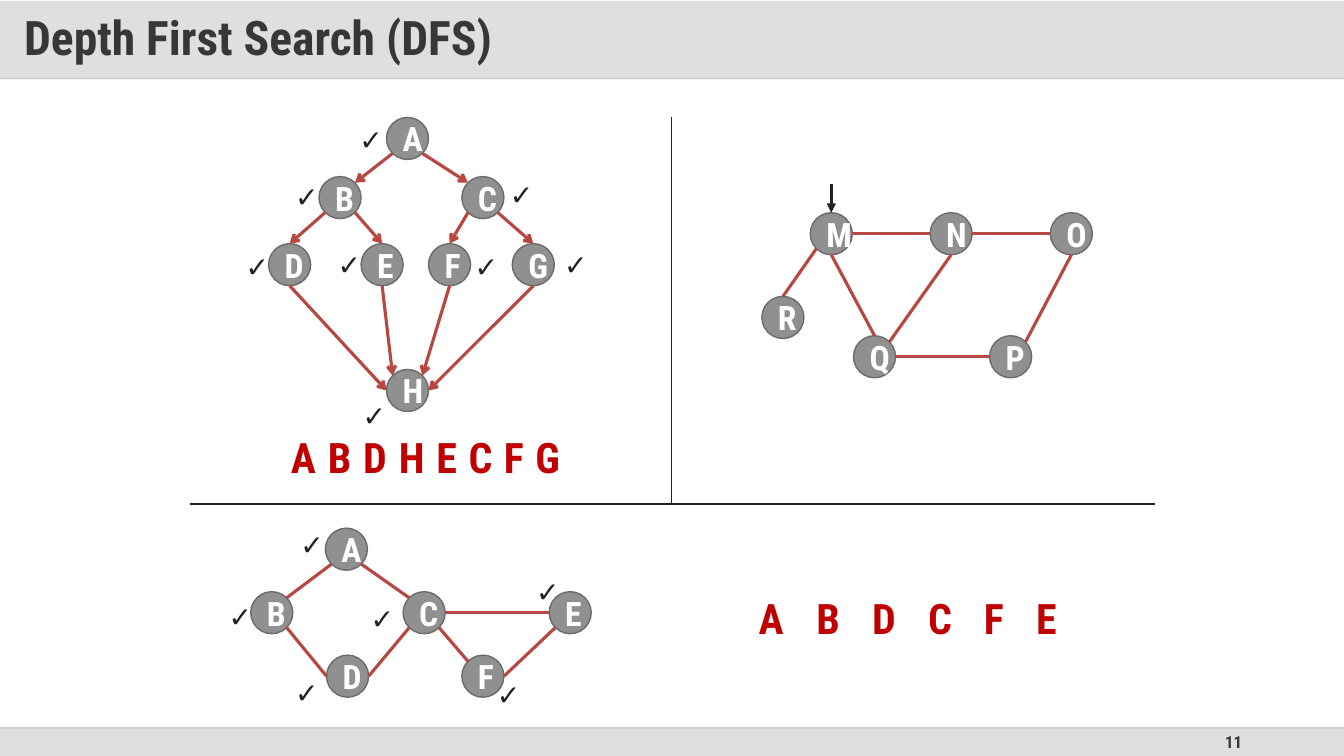
from math import cos, radians, sin
from lxml import etree
from pptx import Presentation
from pptx import util as u
from pptx.dml.color import RGBColor
from pptx.enum import shapes, text
from pptx.oxml.ns import qn

# Content: lengths in centimetres
COLORS = {"ink": "212121", "title": "373737", "band": "C0C0C0", "footer": "DFDFDF",
          "rule": "D9D9D9", "footer_rule": "BFBFBF", "node": "909090", "node_line": "6B6B6B",
          "edge": "B84742", "order": "C00000", "white": "FFFFFF"}
FONT = "Roboto Condensed"
WIDTH, HEIGHT = 33.87, 19.05
TITLE, PAGE_NUMBER = "Depth First Search (DFS)", "11"
RADIUS = 0.53

# Each graph: nodes as name: (centre x, centre y), ticks as name: (left, top),
# edges as "from side to side" with compass sides
DIRECTED = {
    "nodes": {"A": (10.27, 3.49), "B": (8.57, 4.98), "C": (12.17, 4.98), "D": (7.3, 6.67),
              "E": (9.63, 6.67), "F": (11.33, 6.67), "G": (13.44, 6.67), "H": (10.27, 9.84)},
    "ticks": {"A": (8.81, 2.97), "B": (7.19, 4.39), "D": (5.94, 6.15), "H": (8.89, 9.91),
              "E": (8.26, 6.1), "C": (12.6, 4.34), "F": (11.71, 6.15), "G": (13.97, 6.1)},
    "edges": ["A SW B NE", "A SE C NW", "B SW D N", "B SE E N", "C SW F N", "C SE G N",
              "D S H W", "E S H NW", "F S H NE", "G S H E"],
    "head": "arrow",
}
UNDIRECTED = {
    "nodes": {"A": (8.73, 13.84), "B": (6.85, 15.44), "C": (10.69, 15.44),
              "D": (8.76, 17.04), "E": (14.37, 15.44), "F": (12.17, 17.04)},
    "ticks": {"A": (7.32, 13.18), "B": (5.51, 14.99), "D": (7.19, 16.89),
              "C": (9.09, 15.04), "F": (12.27, 16.94), "E": (13.26, 14.35)},
    "edges": ["A SW B NE", "A SE C NW", "B SE D W", "D E C SW", "C E E W",
              "C SE F NW", "E SW F E"],
    "head": None,
}
EXERCISE = {
    "nodes": {"R": (19.73, 8), "M": (20.95, 5.89), "Q": (22.04, 8.99),
              "N": (23.97, 5.89), "P": (25.47, 8.99), "O": (27, 5.89)},
    "ticks": {},
    "edges": ["M SW R N", "M E N W", "M S Q N", "N S Q NE", "O S P NE", "Q E P W", "N E O W"],
    "head": None,
}
# Visit orders: letters, left, top, gap between letter boxes
ORDERS = [("ABDHECFG", 7.06, 10.74, -0.23), ("ABDCFE", 18.85, 14.81, 0.29)]
LETTER_WIDTHS = {"A": 1.17, "B": 1.12, "C": 1.12, "D": 1.12, "E": 1.04, "F": 1.02,
                 "G": 1.14, "H": 1.19}
ANGLES = {side: 45 * step for step, side in
          enumerate(["E", "SE", "S", "SW", "W", "NW", "N", "NE"])}

deck = Presentation()
deck.slide_width, deck.slide_height = u.Cm(WIDTH), u.Cm(HEIGHT)
page = deck.slides.add_slide(deck.slide_layouts[6])


def rgb(name):
    return RGBColor.from_string(COLORS[name])


def set_alpha(shape, percent):
    color = next(shape._element.spPr.iter(qn("a:srgbClr")))
    etree.SubElement(color, qn("a:alpha")).set("val", str(percent * 1000))


def write(shape, words, size, color, align, **frame_format):
    frame = shape.text_frame
    for key, value in frame_format.items():
        setattr(frame, key, value)
    para = frame.paragraphs[0]
    para.alignment = align
    span = para.add_run()
    span.text = words
    for key, value in {"name": FONT, "size": u.Pt(size), "bold": True}.items():
        setattr(span.font, key, value)
    span.font.color.rgb = rgb(color)
    return para


def add_box(kind, left, top, width, height, fill, line=None):
    box = page.shapes.add_shape(kind, *map(u.Cm, (left, top, width, height)))
    box.shadow.inherit = False
    box.fill.solid()
    box.fill.fore_color.rgb = rgb(fill)
    if line:
        box.line.color.rgb = rgb(line)
        box.line.width = u.Pt(1)
    else:
        box.line.fill.background()
    return box


def add_label(words, left, top, width, height, size, color, align):
    box = page.shapes.add_textbox(*map(u.Cm, (left, top, width, height)))
    write(box, words, size, color, align, word_wrap=False,
          auto_size=text.MSO_AUTO_SIZE.SHAPE_TO_FIT_TEXT)


def add_line(start, end, color, weight=1, head=None):
    line = page.shapes.add_connector(shapes.MSO_CONNECTOR.STRAIGHT, *map(u.Cm, (*start, *end)))
    line.line.color.rgb = rgb(color)
    line.line.width = u.Pt(weight)
    properties = line._element.spPr
    if head:
        etree.SubElement(properties.find(qn("a:ln")), qn("a:tailEnd")).set("type", head)
    etree.SubElement(properties, qn("a:effectLst"))
    return line


def side_point(center, side):
    angle = radians(ANGLES[side])
    return center[0] + RADIUS * cos(angle), center[1] + RADIUS * sin(angle)


def add_graph(graph):
    nodes = graph["nodes"]
    for name, (x, y) in nodes.items():
        node = add_box(shapes.MSO_SHAPE.OVAL, x - RADIUS, y - RADIUS, 2 * RADIUS, 2 * RADIUS,
                       "node", "node_line")
        write(node, name, 24, "white", text.PP_ALIGN.CENTER,
              vertical_anchor=text.MSO_ANCHOR.MIDDLE)
    for edge in graph["edges"]:
        origin, origin_side, target, target_side = edge.split()
        add_line(side_point(nodes[origin], origin_side), side_point(nodes[target], target_side),
                 "edge", 2.25, graph["head"])
    for left, top in graph["ticks"].values():
        add_label("✓", left, top, 1.04, 1.12, 20, "ink", text.PP_ALIGN.LEFT)


# Footer and title band
footer_top, band_height = 18.34, 1.98
add_box(shapes.MSO_SHAPE.RECTANGLE, 0, footer_top, WIDTH, HEIGHT - footer_top, "footer")
number = page.shapes.add_textbox(*map(u.Cm, (23.93, footer_top, 7.62, HEIGHT - footer_top)))
write(number, PAGE_NUMBER, 12, "title", text.PP_ALIGN.RIGHT, word_wrap=True,
      vertical_anchor=text.MSO_ANCHOR.MIDDLE)
add_line((0, band_height), (WIDTH, band_height), "rule")
set_alpha(add_line((0, footer_top), (WIDTH, footer_top), "footer_rule"), 70)
band = add_box(shapes.MSO_SHAPE.RECTANGLE, 0, 0.02, WIDTH, band_height, "band")
set_alpha(band, 50)
heading = write(band, TITLE, 34, "title", text.PP_ALIGN.LEFT, word_wrap=True,
                vertical_anchor=text.MSO_ANCHOR.MIDDLE, margin_left=u.Cm(0.61),
                margin_right=u.Cm(0.61), margin_top=u.Cm(0.3), margin_bottom=u.Cm(0.3))
heading.line_spacing = 0.9

# Dividers between the three graphs
add_line((4.78, 12.7), (29.11, 12.7), "ink")
add_line((16.93, 2.96), (16.93, 12.7), "ink")

# Graphs, with a pointer to the start node of the exercise
for graph in (DIRECTED, UNDIRECTED, EXERCISE):
    add_graph(graph)
start_x, start_y = side_point(EXERCISE["nodes"]["M"], "N")
add_line((start_x, start_y - 0.71), (start_x, start_y), "ink", 2.25, "triangle")

# Visit orders
for letters, left, top, gap in ORDERS:
    for letter in letters:
        width = LETTER_WIDTHS[letter]
        add_label(letter, left, top, width, 1.55, 30, "order", text.PP_ALIGN.CENTER)
        left += width + gap

deck.save("out.pptx")
